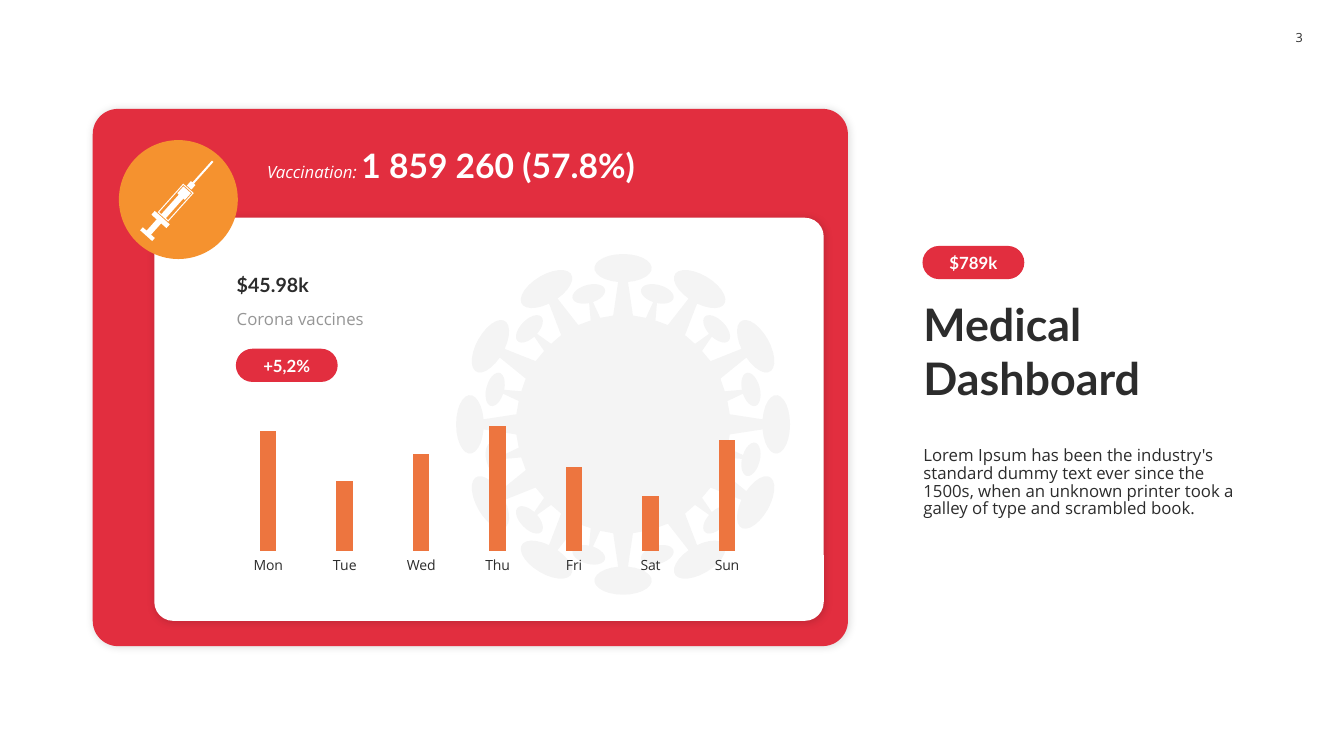
import math

from lxml import etree
from pptx import Presentation
from pptx.chart.data import CategoryChartData
from pptx.dml.color import RGBColor
from pptx.enum.chart import XL_CHART_TYPE, XL_TICK_MARK
from pptx.enum.shapes import MSO_SHAPE
from pptx.enum.text import MSO_ANCHOR, PP_ALIGN
from pptx.oxml import parse_xml
from pptx.oxml.ns import nsdecls, qn
from pptx.util import Inches, Pt

ROUNDED, ELLIPSE = MSO_SHAPE.ROUNDED_RECTANGLE, MSO_SHAPE.OVAL
TOP, MIDDLE, BOTTOM = MSO_ANCHOR.TOP, MSO_ANCHOR.MIDDLE, MSO_ANCHOR.BOTTOM
LEFT, CENTER = PP_ALIGN.LEFT, PP_ALIGN.CENTER
COLUMNS, NO_TICKS = XL_CHART_TYPE.COLUMN_CLUSTERED, XL_TICK_MARK.NONE

WIDTH, HEIGHT = 13.33, 7.5
HEADING, BODY = "Lato", "Open Sans"
RED, ORANGE, BAR = "E22E3F", "F5922F", "ED753F"
INK, GREY, WHITE = "2C2C2C", "969696", "FFFFFF"

# Frames are left, top, width, height in percent of the slide.
CARD = (6.9, 14.4, 56.19, 71.07)
PANEL = (11.48, 28.8, 49.81, 53.33)
BADGE = (8.85, 18.53, 8.85, 15.73)
CHART = (16.28, 54.13, 41.49, 22.4)
NUMBER = (95.2, 2.4, 2.93, 5.2)
PILLS = [("$789k", (68.64, 32.53)), ("+5,2%", (17.55, 46.13))]
PILL_SIZE = (7.58, 4.4)

# Frame, anchor, line spacing, runs of (text, font, size, colour, style)
TEXTS = [
    ((67.97, 38.4, 25.21, 15.73), BOTTOM, 1,
     [("Medical Dashboard", HEADING, 32, INK, "bold")]),
    ((67.97, 58.53, 25.21, 12.13), TOP, 0.88,
     [("Lorem Ipsum has been the industry's standard dummy text ever since the "
       "1500s, when an unknown printer took a galley of type and scrambled book.",
       BODY, 12, INK, "")]),
    ((19.13, 18.53, 39.16, 6.67), TOP, 1,
     [("Vaccination: ", BODY, 12, WHITE, "italic"),
      ("1 859 260 (57.8%)", HEADING, 24, WHITE, "bold")]),
    ((16.88, 35.33, 37.58, 4.53), BOTTOM, 1,
     [("$45.98k", HEADING, 14, INK, "bold")]),
    ((16.88, 40.53, 37.58, 4), TOP, 0.88,
     [("Corona vaccines", BODY, 12, GREY, "")]),
]

VACCINES = {"Mon": 96, "Tue": 56, "Wed": 78, "Thu": 100, "Fri": 67, "Sat": 44, "Sun": 89}
PLOT_SHARES = {"x": 0.02, "y": 0.1, "w": 0.96, "h": 0.74}

# Syringe parts along the axis in inches: start, end, half width
SYRINGE_TIP, SYRINGE_ANGLE = (2.11, 1.6), 131.8
SYRINGE = {
    "needle": (0, 0.29, 0.01), "hub": (0.29, 0.35, 0.03),
    "barrel": (0.36, 0.74, 0.07), "barrel opening": (0.37, 0.73, 0.06),
    "piston": (0.38, 0.47, 0.05), "liquid": (0.47, 0.73, 0.03),
    "flange": (0.75, 0.8, 0.1), "rod": (0.8, 0.95, 0.03),
    "thumb rest": (0.95, 0.99, 0.08),
}

# Virus spikes: base half width, base radius, neck half width,
# head radius, head half width, head half height
VIRUS_CENTER, VIRUS_SQUEEZE, SPIKE_COUNT = (6.18, 4.21), 0.98, 24
LONG_SPIKE = (0.1, 1.08, 0.05, 1.55, 0.29, 0.14)
SHORT_SPIKE = (0.05, 1.08, 0.02, 1.34, 0.17, 0.09)
HEAD_STEPS = 24


def color(hex_string):
    return RGBColor.from_string(hex_string)


def place(frame):
    left, top, width, height = frame
    return [Inches(share * side / 100) for share, side in
            ((left, WIDTH), (top, HEIGHT), (width, WIDTH), (height, HEIGHT))]


def paint(shape, fill):
    shape.shadow.inherit = False
    shape.fill.solid()
    shape.fill.fore_color.rgb = color(fill)
    shape.line.fill.background()


def add_panel(slide, kind, frame, fill, corner=None):
    shape = slide.shapes.add_shape(kind, *place(frame))
    paint(shape, fill)
    if corner is not None:
        shape.adjustments[0] = corner
    return shape


def add_soft_shadow(shape):
    effects = shape.element.spPr.find(qn("a:effectLst"))
    effects.append(parse_xml(
        f'<a:outerShdw {nsdecls("a")} blurRad="{Pt(6)}" dist="{Pt(1)}" dir="2700000" '
        'algn="tl" rotWithShape="0"><a:srgbClr val="000000"><a:alpha val="15000"/>'
        '</a:srgbClr></a:outerShdw>'))


def write(shape, runs, anchor, align=LEFT, spacing=1, margin=None):
    frame = shape.text_frame
    frame.word_wrap = True
    frame.vertical_anchor = anchor
    if margin is not None:
        frame.margin_left = frame.margin_right = margin
        frame.margin_top = frame.margin_bottom = margin
    paragraph = frame.paragraphs[0]
    paragraph.alignment = align
    paragraph.line_spacing = spacing
    for text, font, size, ink, style in runs:
        run = paragraph.add_run()
        run.text = text
        run.font.name, run.font.size = font, Pt(size)
        run.font.color.rgb = color(ink)
        run.font.bold, run.font.italic = style == "bold", style == "italic"


def add_outline(slide, contours, fill):
    """Draw closed contours, given in inches, as one shape."""
    contours = [[(Inches(x), Inches(y)) for x, y in contour] for contour in contours]
    builder = slide.shapes.build_freeform(*contours[0][0], scale=1.0)
    for index, contour in enumerate(contours):
        if index:
            builder.move_to(*contour[0])
        builder.add_line_segments(contour[1:], close=True)
    shape = builder.convert_to_shape()
    paint(shape, fill)
    return shape


def add_syringe(slide):
    angle = math.radians(SYRINGE_ANGLE)
    cos, sin = math.cos(angle), math.sin(angle)
    tip_x, tip_y = SYRINGE_TIP
    contours = []
    for start, end, half in SYRINGE.values():
        corners = ((start, -half), (end, -half), (end, half), (start, half))
        contours.append([(tip_x + along * cos - across * sin,
                          tip_y + along * sin + across * cos)
                         for along, across in corners])
    add_outline(slide, contours, WHITE)


def spike_points(base, base_radius, neck, head_radius, half_width, half_height):
    """Give (across, outward) points of a spike, left foot to right foot."""
    opening = math.asin(neck / half_width)
    points = [(-base, base_radius)]
    for step in range(HEAD_STEPS + 1):
        turn = opening + (2 * math.pi - 2 * opening) * step / HEAD_STEPS
        points.append((-half_width * math.sin(turn),
                       head_radius - half_height * math.cos(turn)))
    return points + [(base, base_radius)]


def add_virus(slide):
    center_x, center_y = VIRUS_CENTER
    contour = []
    for index in range(SPIKE_COUNT):
        angle = 2 * math.pi * index / SPIKE_COUNT
        cos, sin = math.cos(angle), math.sin(angle)
        for across, outward in spike_points(*(SHORT_SPIKE if index % 2 else LONG_SPIKE)):
            contour.append((center_x + VIRUS_SQUEEZE * (across * cos + outward * sin),
                            center_y + across * sin - outward * cos))
    virus = add_outline(slide, [contour], INK)
    ink = virus.element.spPr.find(qn("a:solidFill"))[0]
    etree.SubElement(ink, qn("a:alpha")).set("val", "5000")


def add_vaccine_chart(slide):
    data = CategoryChartData()
    data.categories = list(VACCINES)
    data.add_series("Series 1", list(VACCINES.values()))
    chart = slide.shapes.add_chart(COLUMNS, *place(CHART), data).chart
    chart.has_legend = chart.has_title = False
    chart.font.name, chart.font.size = BODY, Pt(12)
    chart.font.color.rgb = color(INK)
    days, values = chart.category_axis, chart.value_axis
    days.major_tick_mark = NO_TICKS
    days.format.line.fill.background()
    days.tick_labels.font.size = Pt(10)
    values.visible = values.has_major_gridlines = False
    values.minimum_scale, values.maximum_scale = 0, 100
    plot = chart.plots[0]
    plot.gap_width, plot.overlap, plot.vary_by_categories = 360, -30, False
    bars = plot.series[0].format.fill
    bars.solid()
    bars.fore_color.rgb = color(BAR)

    area = chart.element.find(".//" + qn("c:plotArea"))
    for old_layout in area.findall(qn("c:layout")):
        area.remove(old_layout)
    shares = "".join(f'<c:{side} val="{share}"/>' for side, share in PLOT_SHARES.items())
    area.insert(0, parse_xml(
        f'<c:layout {nsdecls("c")}><c:manualLayout><c:layoutTarget val="inner"/>'
        f'<c:xMode val="edge"/><c:yMode val="edge"/>{shares}</c:manualLayout></c:layout>'))


def main():
    presentation = Presentation()
    presentation.slide_width, presentation.slide_height = Inches(WIDTH), Inches(HEIGHT)
    slide = presentation.slides.add_slide(presentation.slide_layouts[6])
    for frame, fill in ((CARD, RED), (PANEL, WHITE)):
        add_soft_shadow(add_panel(slide, ROUNDED, frame, fill, 0.047))
    number = add_panel(slide, ROUNDED, NUMBER, WHITE)
    write(number, [("3", BODY, 9, INK, "")], MIDDLE, CENTER, margin=0)
    add_panel(slide, ELLIPSE, BADGE, ORANGE)
    add_syringe(slide)
    add_virus(slide)
    for frame, anchor, spacing, runs in TEXTS:
        write(slide.shapes.add_textbox(*place(frame)), runs, anchor, spacing=spacing)
    for text, corner in PILLS:
        pill = add_panel(slide, ROUNDED, corner + PILL_SIZE, RED, 0.5)
        write(pill, [(text, HEADING, 12, WHITE, "bold")], MIDDLE, CENTER, margin=0)
    add_vaccine_chart(slide)
    presentation.save("out.pptx")


if __name__ == "__main__":
    main()
